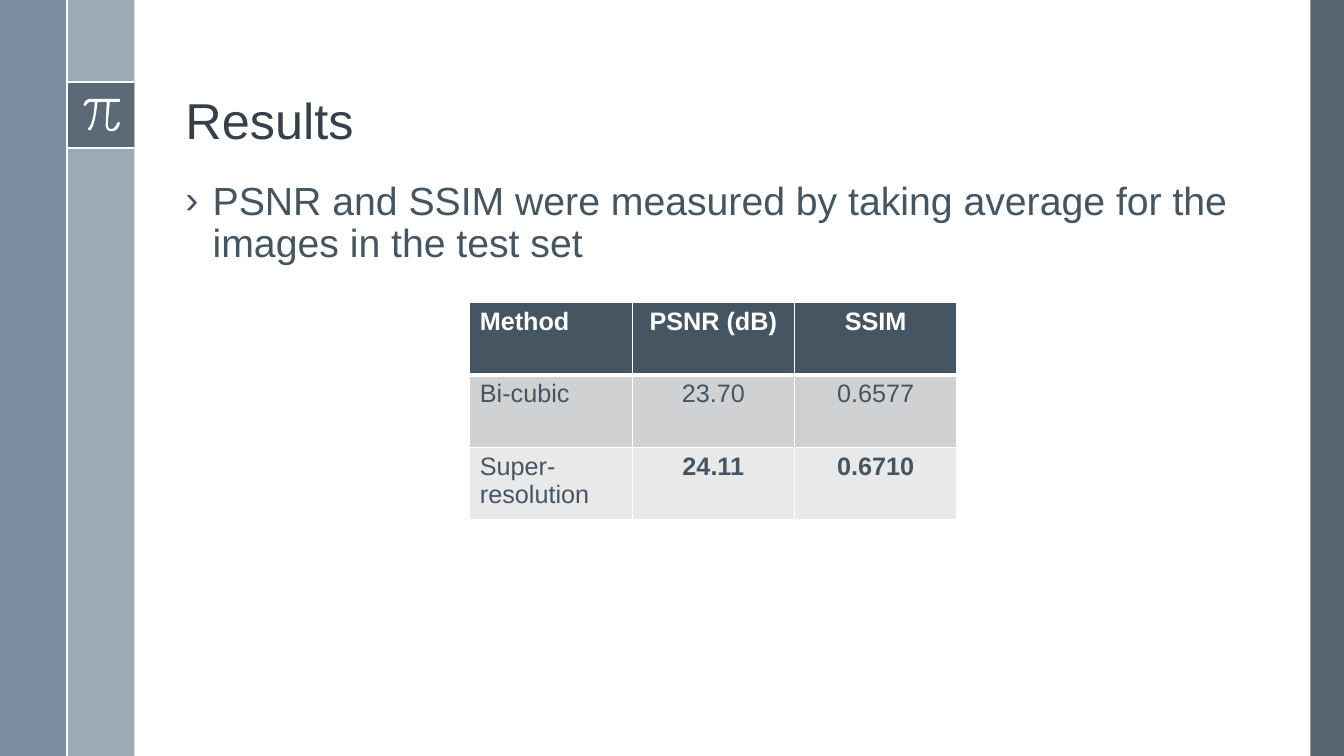
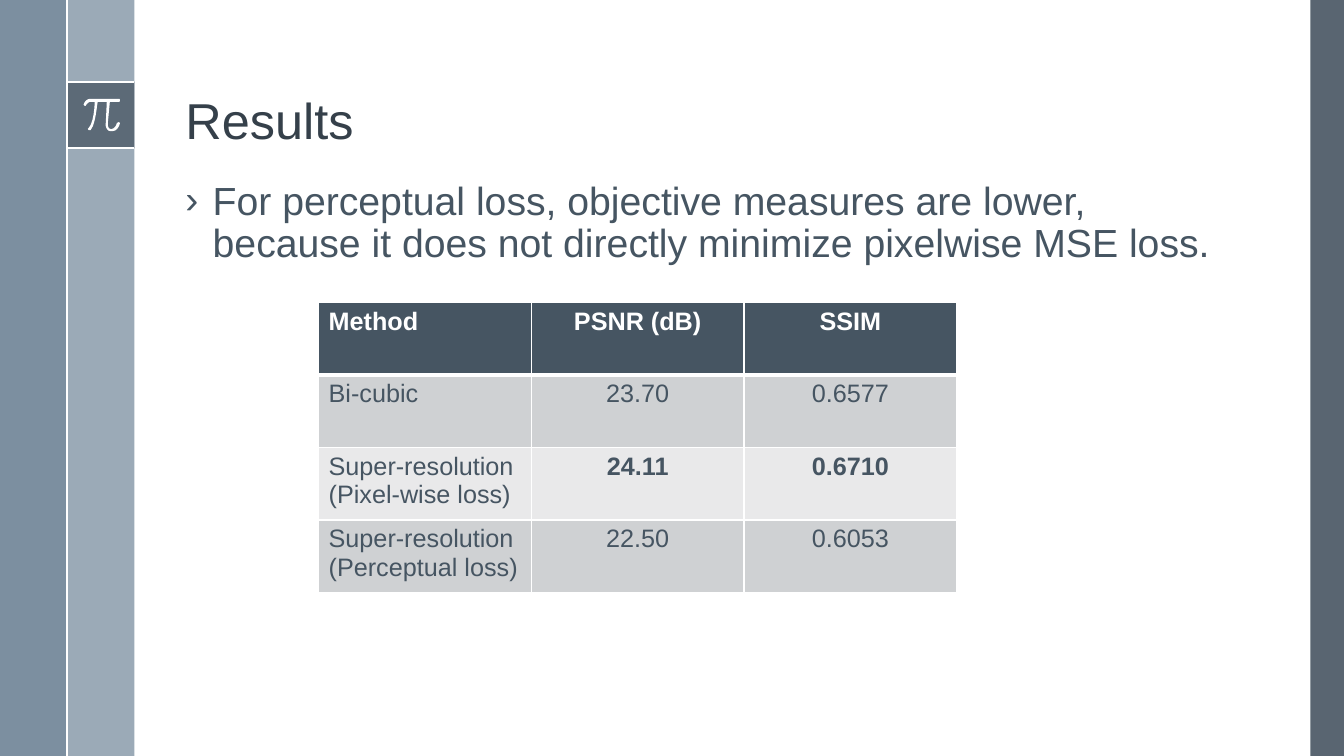
import pptx
import pptx.util
import pptx.dml.color
import pptx.enum.shapes
import pptx.enum.text
import pptx.oxml
import pptx.oxml.ns
import lxml.etree

Inches, Pt = pptx.util.Inches, pptx.util.Pt
ALIGN = pptx.enum.text.PP_ALIGN
ANCHOR = pptx.enum.text.MSO_ANCHOR
qn = pptx.oxml.ns.qn
SLATE, INK, WHITE = "465562", "35404A", "FFFFFF"


def hue(code):
    return pptx.dml.color.RGBColor.from_string(code)


def say(para, text, size, tone, bold=False):
    run = para.add_run()
    run.text = text
    run.font.name = "Arial"
    run.font.size = Pt(size)
    run.font.bold = bold
    run.font.color.rgb = hue(tone)


deck = pptx.Presentation()
deck.slide_width = Inches(13.33)
deck.slide_height = Inches(7.5)
wide, high = deck.slide_width, deck.slide_height
col = wide / 20
row = high / 100

page = deck.slide_layouts[1]
for index, top, tall in [(0, 2.5, 18.1), (1, 23.3, 66.7)]:
    box = page.placeholders[index]
    box.left, box.width = int(col * 2.61), int(col * 16.05)
    box.top, box.height = int(row * top), int(row * tall)

topics = [
    ("PSNR and SSIM were measured by taking average for the images in the test set",
     4.66, 1.61,
     [("Method", "PSNR (dB)", "SSIM"),
      ("Bi-cubic", "23.70", "0.6577"),
      ("Super-resolution", "24.11", "0.6710")]),
    ("For perceptual loss, objective measures are lower, because it does not "
     "directly minimize pixelwise MSE loss.",
     3.16, 2.11,
     [("Method", "PSNR (dB)", "SSIM"),
      ("Bi-cubic", "23.70", "0.6577"),
      ("Super-resolution (Pixel-wise loss)", "24.11", "0.6710"),
      ("Super-resolution (Perceptual loss)", "22.50", "0.6053")]),
]
slides = [deck.slides.add_slide(page) for topic in topics]

shapes = slides[0].shapes
decor = []
bands = [
    (19.5, 0, 0.5, 100, "475562", 90),
    (1, 0, 1, 100, "9BAAB7", 100),
    (0, 0, 1, 100, "6A8093", 88),
    (1, 10.8, 1, 8.8, "475562", 75),
]
for left, top, span, tall, tone, alpha in bands:
    band = shapes.add_shape(
        pptx.enum.shapes.MSO_SHAPE.RECTANGLE,
        int(col * left), int(row * top), int(col * span), int(row * tall))
    band.shadow.inherit = False
    band.line.fill.background()
    band.fill.solid()
    band.fill.fore_color.rgb = hue(tone)
    if alpha < 100:
        paint = band.element.spPr.find(qn("a:solidFill"))[0]
        lxml.etree.SubElement(paint, qn("a:alpha")).set("val", str(alpha * 1000))
    decor.append(band)

for x, y, x2, y2 in [(1, 10.8, 2, 10.8), (1, 19.6, 2, 19.6), (1, 0, 1, 100)]:
    rule = shapes.add_connector(
        pptx.enum.shapes.MSO_CONNECTOR.STRAIGHT,
        int(col * x), int(row * y), int(col * x2), int(row * y2))
    rule.line.color.rgb = hue(WHITE)
    rule.line.width = Pt(1.5)
    lxml.etree.SubElement(rule.element.spPr, qn("a:effectLst"))
    decor.append(rule)

strokes = [
    (0.9, 0.98), (0.85, 0.98, 0.83, 1.03, 0.83, 1.04), (0.84, 1.05), (0.85, 1.05),
    (0.85, 1.05, 0.87, 1.01, 0.9, 1.01), (0.94, 1.01),
    (0.94, 1.05, 0.93, 1.22, 0.88, 1.27), (0.87, 1.28, 0.87, 1.28, 0.88, 1.29),
    (0.9, 1.29), (0.95, 1.23, 0.96, 1.05, 0.97, 1.01), (1.06, 1.01), (1.05, 1.22),
    (1.05, 1.22, 1.04, 1.26, 1.07, 1.29), (1.08, 1.3, 1.09, 1.3, 1.1, 1.3),
    (1.12, 1.3), (1.17, 1.3, 1.19, 1.23, 1.19, 1.22), (1.18, 1.21), (1.16, 1.22),
    (1.16, 1.22, 1.15, 1.27, 1.11, 1.28), (1.1, 1.28, 1.09, 1.28, 1.08, 1.27),
    (1.07, 1.26, 1.07, 1.23, 1.07, 1.22), (1.09, 1.01), (1.18, 1.01),
    (1.19, 1.01, 1.19, 1, 1.19, 1), (1.19, 0.99, 1.19, 0.98, 1.18, 0.98),
]
here = (1.18, 0.98)
dots = []
for stroke in strokes:
    if len(stroke) == 2:
        dots.append(stroke)
    else:
        for step in range(1, 7):
            t = step / 6
            u = 1 - t
            dots.append([
                u ** 3 * here[k] + 3 * u * u * t * stroke[k]
                + 3 * u * t * t * stroke[k + 2] + t ** 3 * stroke[k + 4]
                for k in (0, 1)])
    here = stroke[-2:]
pen = shapes.build_freeform(Inches(1.18), Inches(0.98))
pen.add_line_segments([(Inches(x), Inches(y)) for x, y in dots], close=True)
pi = pen.convert_to_shape()
pi.shadow.inherit = False
pi.fill.solid()
pi.fill.fore_color.rgb = hue(WHITE)
pi.line.fill.background()
decor.append(pi)

for number, item in enumerate(decor, 20):
    item.element.xpath(".//p:cNvPr")[0].set("id", str(number))
    page.shapes.element.append(item.element)

for slide, (point, left, span, rows) in zip(slides, topics):
    title = slide.shapes.title.text_frame
    title.vertical_anchor = ANCHOR.BOTTOM
    title.auto_size = pptx.enum.text.MSO_AUTO_SIZE.NONE
    para = title.paragraphs[0]
    para.alignment = ALIGN.LEFT
    para.line_spacing = 0.9
    say(para, "Results", 36, INK)

    body = slide.placeholders[1].text_frame
    body.auto_size = pptx.enum.text.MSO_AUTO_SIZE.NONE
    para = body.paragraphs[0]
    props = para._p.get_or_add_pPr()
    props.set("marL", str(Inches(0.27)))
    props.set("indent", str(-Inches(0.27)))
    lxml.etree.SubElement(props, qn("a:buFont")).set("typeface", "Arial")
    lxml.etree.SubElement(props, qn("a:buChar")).set("char", "›")
    para.line_spacing = 0.9
    para.space_before = Pt(0)
    say(para, point, 28, SLATE)

    table = slide.shapes.add_table(
        len(rows), 3, Inches(left), int(high * 0.4),
        Inches(span * 3), Inches(0.72 * len(rows))).table
    for column in table.columns:
        column.width = Inches(span)
    for r, texts in enumerate(rows):
        table.rows[r].height = Inches(0.72)
        for c, text in enumerate(texts):
            cell = table.cell(r, c)
            cell.fill.solid()
            cell.fill.fore_color.rgb = hue(SLATE if r == 0 else ("E9E9EA", "CFD1D3")[r % 2])
            para = cell.text_frame.paragraphs[0]
            para.alignment = ALIGN.CENTER if c else ALIGN.LEFT
            bold = r == 0 or (r == 2 and c > 0)
            say(para, text, 18, WHITE if r == 0 else SLATE, bold)
            thick = {"L": 1, "R": 1, "T": 3 if r == 1 else 1, "B": 3 if r == 0 else 1}
            for place, (side, size) in enumerate(thick.items()):
                edge = pptx.oxml.parse_xml(
                    f'<a:ln{side} {pptx.oxml.ns.nsdecls("a")} w="{Pt(size)}">'
                    f'<a:solidFill><a:srgbClr val="{WHITE}"/></a:solidFill></a:ln{side}>')
                cell._tc.get_or_add_tcPr().insert(place, edge)

deck.save("out.pptx")
